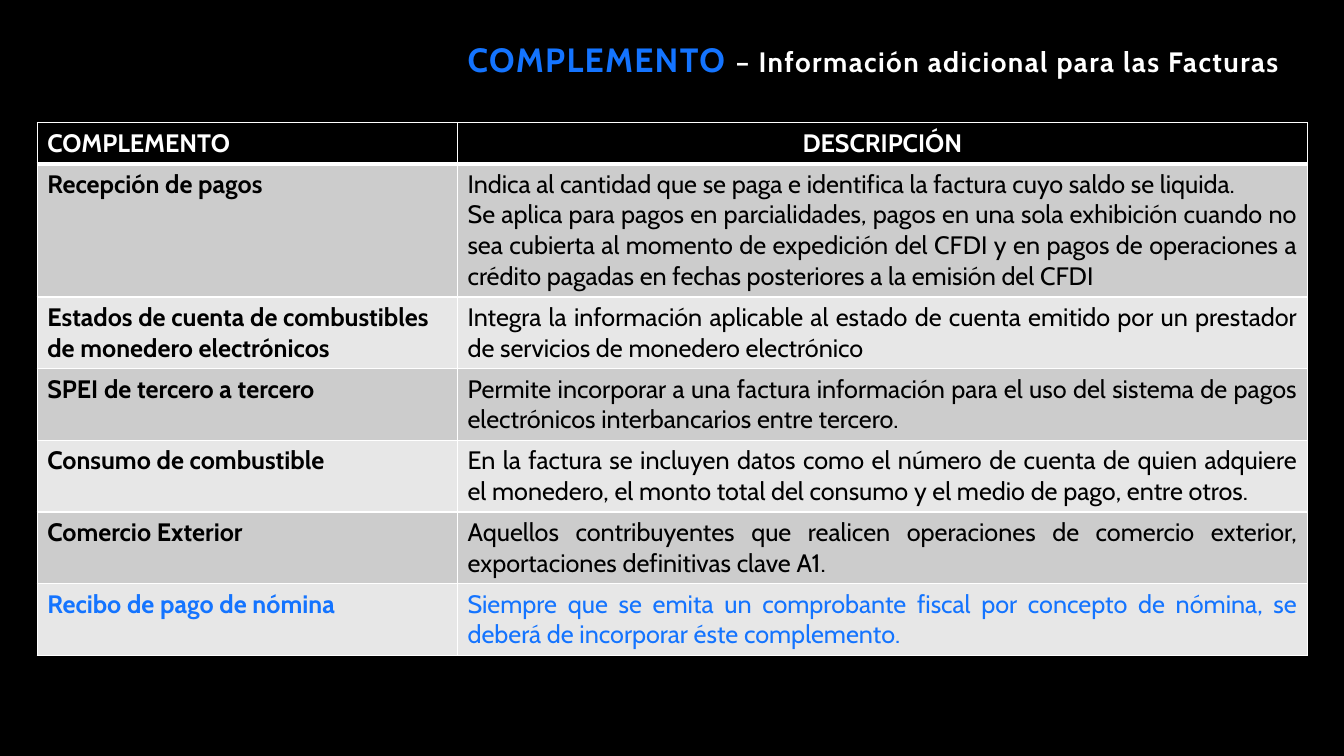
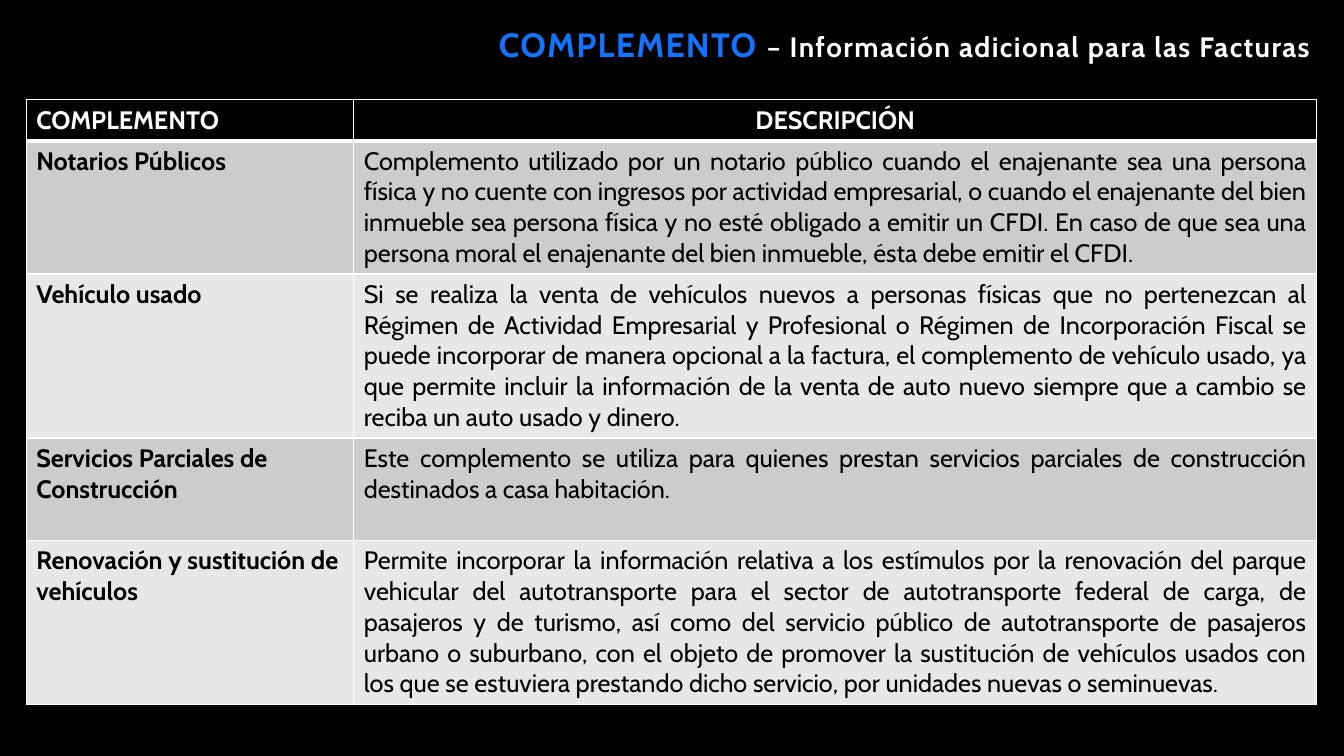
from lxml import etree
from pptx import Presentation
from pptx.dml.color import RGBColor
from pptx.enum import text as t
from pptx.oxml import ns
from pptx.util import Pt

BLACK = RGBColor(0x00, 0x00, 0x00)
WHITE = RGBColor(0xFF, 0xFF, 0xFF)
BLUE = RGBColor(0x14, 0x74, 0xFF)
DARK_BAND = RGBColor(0xCC, 0xCC, 0xCC)
LIGHT_BAND = RGBColor(0xE7, 0xE7, 0xE7)
FONT = "Cabin"
LINE_HEIGHT = 22
CELL_PADDING = 7.2
LEFT, CENTER, JUSTIFY = t.PP_ALIGN.LEFT, t.PP_ALIGN.CENTER, t.PP_ALIGN.JUSTIFY

TITLE_RUNS = [("COMPLEMENTO ", 24, BLUE),
              ("– Información adicional para las Facturas", 20, WHITE)]
HEADER = (1, "COMPLEMENTO", ["DESCRIPCIÓN"], WHITE)

# Each row: height in text lines, name, description paragraphs, text colour
SLIDES = [
    {
        "title_at": (326.9, 10.8), "table_at": (26.6, 87.8), "columns": (300.2, 607),
        "rows": [
            (4, "Recepción de pagos", [
                "Indica al cantidad que se paga e identifica la factura cuyo saldo se liquida.",
                "Se aplica para pagos en parcialidades, pagos en una sola exhibición cuando no "
                "sea cubierta al momento de expedición del CFDI y en pagos de operaciones a "
                "crédito pagadas en fechas posteriores a la emisión del CFDI"], BLACK),
            (2, "Estados de cuenta de combustibles de monedero electrónicos", [
                "Integra la información aplicable al estado de cuenta emitido por un prestador "
                "de servicios de monedero electrónico"], BLACK),
            (2, "SPEI de tercero a tercero", [
                "Permite incorporar a una factura información para el uso del sistema de pagos "
                "electrónicos interbancarios entre tercero."], BLACK),
            (2, "Consumo de combustible", [
                "En la factura se incluyen datos como el número de cuenta de quien adquiere "
                "el monedero, el monto total del consumo y el medio de pago, entre otros."], BLACK),
            (2, "Comercio Exterior", [
                "Aquellos contribuyentes que realicen operaciones de comercio exterior, "
                "exportaciones definitivas clave A1."], BLACK),
            (2, "Recibo de pago de nómina", [
                "Siempre que se emita un comprobante fiscal por concepto de nómina, se "
                "deberá de incorporar éste complemento."], BLUE),
        ],
    },
    {
        "title_at": (349.2, 0), "table_at": (18.7, 71.3), "columns": (234, 687.8),
        "rows": [
            (4, "Notarios Públicos", [
                "Complemento utilizado por un notario público cuando el enajenante sea una persona "
                "física y no cuente con ingresos por actividad empresarial, o cuando el enajenante "
                "del bien inmueble sea persona física y no esté obligado a emitir un CFDI. En caso "
                "de que sea una persona moral el enajenante del bien inmueble, ésta debe emitir "
                "el CFDI."], BLACK),
            (5, "Vehículo usado", [
                "Si se realiza la venta de vehículos nuevos a personas físicas que no pertenezcan "
                "al Régimen de Actividad Empresarial y Profesional o Régimen de Incorporación "
                "Fiscal se puede incorporar de manera opcional a la factura, el complemento de "
                "vehículo usado, ya que permite incluir la información de la venta de auto nuevo "
                "siempre que a cambio se reciba un auto usado y dinero."], BLACK),
            (3, "Servicios Parciales de Construcción", [
                "Este complemento se utiliza para quienes prestan servicios parciales de "
                "construcción destinados a casa habitación."], BLACK),
            (5, "Renovación y sustitución de vehículos", [
                "Permite incorporar la información relativa a los estímulos por la renovación del "
                "parque vehicular del autotransporte para el sector de autotransporte federal de "
                "carga, de pasajeros y de turismo, así como del servicio público de autotransporte "
                "de pasajeros urbano o suburbano, con el objeto de promover la sustitución de "
                "vehículos usados con los que se estuviera prestando dicho servicio, por unidades "
                "nuevas o seminuevas."], BLACK),
        ],
    },
]


def add_run(paragraph, content, size, color, bold):
    run = paragraph.add_run()
    run.text = content
    run.font.name = FONT
    run.font.size = Pt(size)
    run.font.bold = bold
    run.font.color.rgb = color
    return run


def add_borders(cell, top, bottom):
    properties = cell._tc.get_or_add_tcPr()
    for side, width in (("L", 1), ("R", 1), ("T", top), ("B", bottom)):
        line = etree.SubElement(properties, ns.qn(f"a:ln{side}"), w=str(Pt(width)))
        fill = etree.SubElement(line, ns.qn("a:solidFill"))
        etree.SubElement(fill, ns.qn("a:srgbClr"), val=str(WHITE))


presentation = Presentation()
presentation.slide_width, presentation.slide_height = Pt(960), Pt(540)
background = presentation.slide_master.background.fill
background.solid()
background.fore_color.rgb = BLACK
title_only = presentation.slide_layouts[5]

for content in SLIDES:
    slide = presentation.slides.add_slide(title_only)

    # Title
    title = slide.shapes.title
    title.left, title.top = (Pt(value) for value in content["title_at"])
    title.width, title.height = Pt(605), Pt(50)
    frame = title.text_frame
    frame.auto_size = t.MSO_AUTO_SIZE.NONE
    frame.word_wrap = True
    frame.vertical_anchor = t.MSO_ANCHOR.BOTTOM
    paragraph = frame.paragraphs[0]
    paragraph.alignment = LEFT
    paragraph.line_spacing = 0.9
    for words, size, color in TITLE_RUNS:
        run = add_run(paragraph, words, size, color, True)
        run.font._element.set("spc", "100")

    # Table grid
    rows = [HEADER] + content["rows"]
    heights = [lines * LINE_HEIGHT + CELL_PADDING for lines, *_ in rows]
    left, top = content["table_at"]
    table = slide.shapes.add_table(len(rows), 2, Pt(left), Pt(top),
                                   Pt(sum(content["columns"])), Pt(sum(heights))).table
    table.horz_banding = False
    for column, width in zip(table.columns, content["columns"]):
        column.width = Pt(width)

    # Table cells
    for index, (_, name, description, color) in enumerate(rows):
        table.rows[index].height = Pt(heights[index])
        is_header = index == 0
        band = BLACK if is_header else DARK_BAND if index % 2 else LIGHT_BAND
        cells = [([name], LEFT, True),
                 (description, CENTER if is_header else JUSTIFY, is_header)]
        for column, (texts, alignment, bold) in enumerate(cells):
            cell = table.cell(index, column)
            add_borders(cell, 3 if index == 1 else 1, 3 if is_header else 1)
            cell.fill.solid()
            cell.fill.fore_color.rgb = band
            for number, words in enumerate(texts):
                frame = cell.text_frame
                paragraph = frame.add_paragraph() if number else frame.paragraphs[0]
                paragraph.alignment = alignment
                add_run(paragraph, words, 18, color, bold)

presentation.save("out.pptx")
